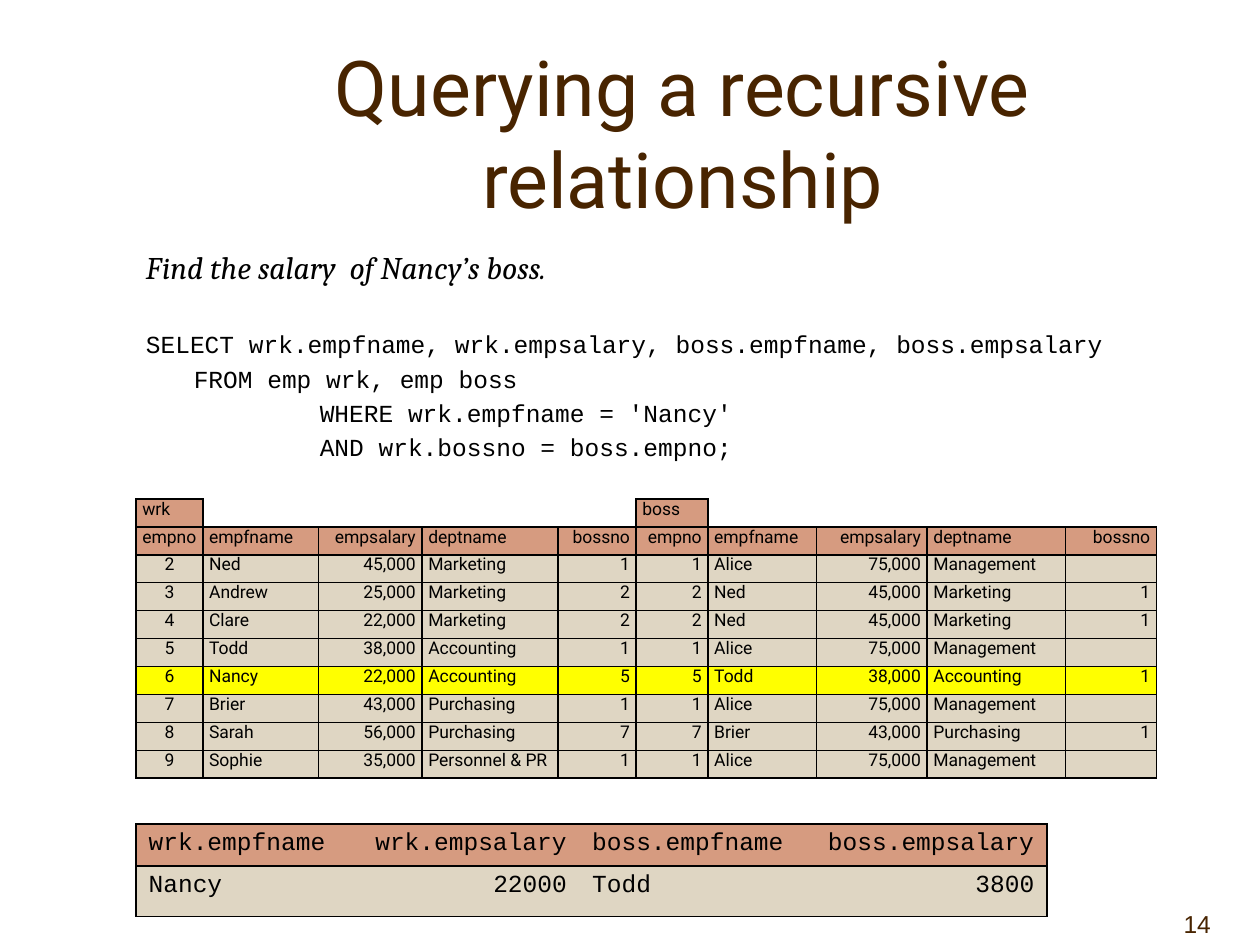
from lxml.etree import SubElement
from pptx import Presentation
from pptx.dml.color import RGBColor
from pptx.enum.text import MSO_ANCHOR, PP_ALIGN
from pptx.oxml.ns import qn
from pptx.util import Inches, Pt

BROWN = RGBColor(0x48, 0x24, 0x00)
BLACK = RGBColor(0x00, 0x00, 0x00)
CLAY = RGBColor(0xD6, 0x9B, 0x80)
SAND = RGBColor(0xDF, 0xD6, 0xC3)
YELLOW = RGBColor(0xFF, 0xFF, 0x00)
LEFT, CENTER, RIGHT = PP_ALIGN.LEFT, PP_ALIGN.CENTER, PP_ALIGN.RIGHT

PLAIN_TABLE_STYLE = "{2D5ABB26-0587-4C30-8999-92F81FD0307C}"
SIDES = "LRTB"

TITLE_FONT = {"name": "Roboto", "size": Pt(44)}
QUESTION_FONT = {"name": "Cambria", "size": Pt(18), "italic": True}
CODE_FONT = {"name": "Courier New", "size": Pt(14)}
JOIN_FONT = {"name": "Roboto", "size": Pt(10)}
NUMBER_FONT = {"name": "Arial", "size": Pt(14)}

# Question and query: text, font, indent in inches, space before in points
QUERY_LINES = [
    ("Find the salary  of Nancy’s boss.", QUESTION_FONT, 0, 3.6),
    ("SELECT wrk.empfname, wrk.empsalary, boss.empfname, boss.empsalary", CODE_FONT, 0, 24.9),
    ("FROM emp wrk, emp boss", CODE_FONT, 0.38, 2.8),
    ("WHERE wrk.empfname = 'Nancy'", CODE_FONT, 1.38, 2.8),
    ("AND wrk.bossno = boss.empno;", CODE_FONT, 1.38, 2.8),
]

# The emp table, which is joined to itself on bossno
EMP_COLUMNS = ("empno", "empfname", "empsalary", "deptname", "bossno")
EMPLOYEES = [
    ("1", "Alice", "75,000", "Management", ""),
    ("2", "Ned", "45,000", "Marketing", "1"),
    ("3", "Andrew", "25,000", "Marketing", "2"),
    ("4", "Clare", "22,000", "Marketing", "2"),
    ("5", "Todd", "38,000", "Accounting", "1"),
    ("6", "Nancy", "22,000", "Accounting", "5"),
    ("7", "Brier", "43,000", "Purchasing", "1"),
    ("8", "Sarah", "56,000", "Purchasing", "7"),
    ("9", "Sophie", "35,000", "Personnel & PR", "1"),
]
# Each half has six grid columns; deptname covers the fourth and fifth
HALF = 6
JOIN_WIDTHS = (0.53, 0.92, 0.82, 0.1, 0.98, 0.62, 0.57, 0.86, 0.88, 0.19, 0.91, 0.72)
FIELD_COLUMNS = [start + offset for start in (0, HALF) for offset in (0, 1, 2, 3, 5)]
BOSS_ALIGNMENTS = (RIGHT, LEFT, RIGHT, LEFT, RIGHT)

RESULT = [
    ("wrk.empfname", "wrk.empsalary", "boss.empfname", "boss.empsalary"),
    ("Nancy", "22000", "Todd", "3800"),
]
RESULT_WIDTHS = (1.67, 1.85, 1.74, 1.97)
RESULT_HEIGHTS = (0.33, 0.4)


def set_format(target, values):
    for name, value in values.items():
        setattr(target, name, value)


def write(paragraph, text, font, color=BLACK, **layout):
    set_format(paragraph, layout)
    run = paragraph.add_run()
    run.text = text
    set_format(run.font, font)
    run.font.color.rgb = color


def add_text_box(slide, left, top, width, height, **layout):
    box = slide.shapes.add_textbox(Inches(left), Inches(top), Inches(width), Inches(height))
    set_format(box.text_frame, {"word_wrap": True, **layout})
    return box.text_frame


def add_query(slide):
    frame = add_text_box(slide, 1.06, 1.92, 8.76, 4.5)
    for index, (text, font, indent, space) in enumerate(QUERY_LINES):
        paragraph = frame.add_paragraph() if index else frame.paragraphs[0]
        write(paragraph, text, font, space_before=Pt(space))
        paragraph._p.get_or_add_pPr().set("marL", str(Inches(indent)))


def add_plain_table(slide, row_count, left, top, widths, height):
    frame = slide.shapes.add_table(row_count, len(widths), Inches(left), Inches(top),
                                   Inches(sum(widths)), Inches(height))
    for style in frame._element.iter(qn("a:tableStyleId")):
        style.text = PLAIN_TABLE_STYLE
    set_format(frame.table, {"first_row": False, "horz_banding": False})
    for column, width in zip(frame.table.columns, widths):
        column.width = Inches(width)
    return frame.table


def set_borders(cell, sides):
    properties = cell._tc.get_or_add_tcPr()
    for position, side in enumerate(side for side in SIDES if side in sides):
        line = SubElement(properties, qn(f"a:ln{side}"), w=str(Pt(1)))
        fill = SubElement(line, qn("a:solidFill"))
        SubElement(fill, qn("a:srgbClr"), val=str(BLACK))
        properties.insert(position, line)


def set_end_size(cell, font):
    """Keep an empty cell as low as the text beside it."""
    paragraph = cell.text_frame.paragraphs[0]
    SubElement(paragraph._p, qn("a:endParaRPr"), sz=str(int(font["size"].pt * 100)))


def fill_cell(cell, text, font, color, sides=SIDES, **layout):
    cell.fill.solid()
    cell.fill.fore_color.rgb = color
    set_borders(cell, sides)
    if text:
        write(cell.text_frame.paragraphs[0], text, font, **layout)
    else:
        set_end_size(cell, font)


def merge_pairs(table, row, first):
    """Merge two neighbouring grid columns in both halves of a row."""
    for column in (first, first + HALF):
        table.cell(row, column).merge(table.cell(row, column + 1))


def add_join_table(slide):
    by_number = {employee[0]: employee for employee in EMPLOYEES}
    workers = [employee for employee in EMPLOYEES if employee[4]]
    rows = [worker + by_number[worker[4]] for worker in workers]
    table = add_plain_table(slide, len(rows) + 2, 1.08, 3.96, JOIN_WIDTHS, 2.22)
    for cell in table.iter_cells():
        set_format(cell, {"margin_left": Inches(0.05), "margin_right": Inches(0.05),
                          "margin_top": 0, "margin_bottom": 0})
    spacing = {"space_before": Pt(3), "space_after": Pt(3)}

    # Role names above the two copies of emp
    roles = {0: "wrk", HALF: "boss"}
    merge_pairs(table, 0, 2)
    for column in range(len(JOIN_WIDTHS)):
        cell = table.cell(0, column)
        if column in roles:
            fill_cell(cell, roles[column], JOIN_FONT, CLAY, alignment=LEFT, **spacing)
        else:
            set_borders(cell, "B")
            set_end_size(cell, JOIN_FONT)

    # Column names and joined rows
    for row, values in enumerate([EMP_COLUMNS * 2] + rows, start=1):
        is_header = row == 1
        color = CLAY if is_header else YELLOW if values[1] == "Nancy" else SAND
        first = LEFT if is_header else CENTER
        alignments = (first,) + BOSS_ALIGNMENTS[1:] + BOSS_ALIGNMENTS
        merge_pairs(table, row, 3)
        for column, text, alignment in zip(FIELD_COLUMNS, values, alignments):
            fill_cell(table.cell(row, column), text, JOIN_FONT, color,
                      alignment=alignment, **spacing)


def add_result_table(slide):
    table = add_plain_table(slide, len(RESULT), 1.08, 6.54, RESULT_WIDTHS, sum(RESULT_HEIGHTS))
    last = len(RESULT_WIDTHS) - 1
    for row, (values, height, color) in enumerate(zip(RESULT, RESULT_HEIGHTS, (CLAY, SAND))):
        table.rows[row].height = Inches(height)
        for column, text in enumerate(values):
            sides = "TB" + ("L" if column == 0 else "R" if column == last else "")
            fill_cell(table.cell(row, column), text, CODE_FONT, color, sides,
                      alignment=RIGHT if column % 2 else LEFT, space_before=Pt(2.8))


def main():
    presentation = Presentation()
    set_format(presentation, {"slide_width": Inches(10), "slide_height": Inches(7.5)})
    slide = presentation.slides.add_slide(presentation.slide_layouts[6])

    # Slide number and title
    number = add_text_box(slide, 9, 7, 1, 0.5, vertical_anchor=MSO_ANCHOR.BOTTOM,
                          margin_right=Inches(0.39))
    write(number.paragraphs[0], "14", NUMBER_FONT, BROWN, alignment=RIGHT)
    title = add_text_box(slide, 1.17, 0.42, 8.5, 1.25, vertical_anchor=MSO_ANCHOR.MIDDLE)
    write(title.paragraphs[0], "Querying a recursive relationship", TITLE_FONT, BROWN,
          alignment=CENTER)

    add_query(slide)
    add_result_table(slide)
    add_join_table(slide)
    presentation.save("out.pptx")


if __name__ == "__main__":
    main()
